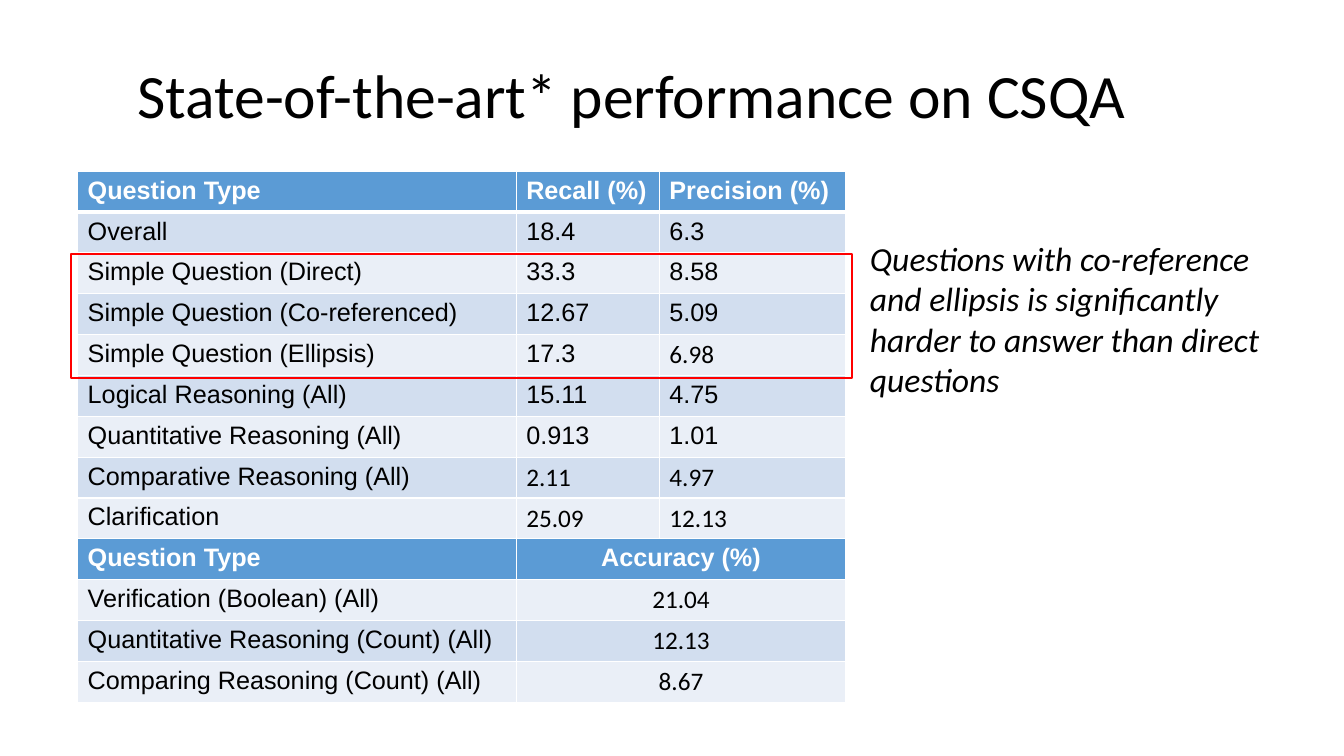
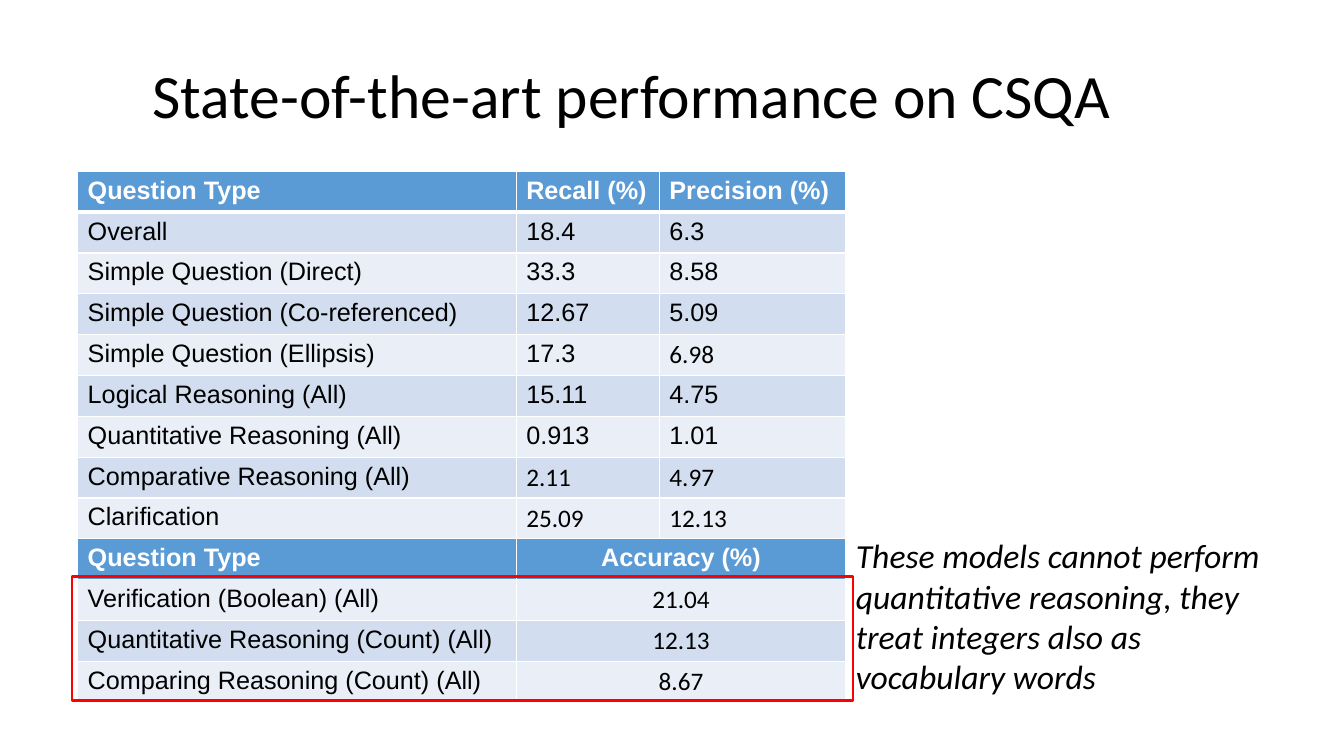
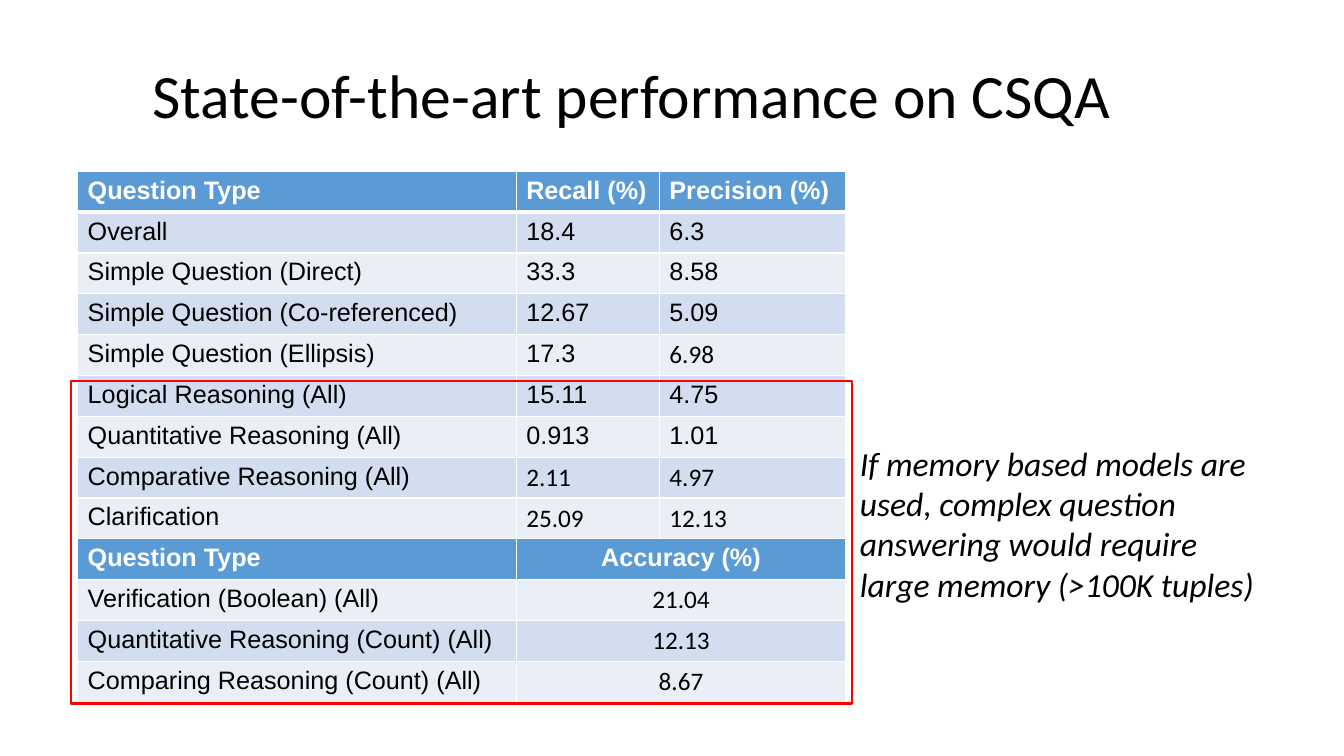
from pptx import Presentation
from pptx.dml.color import RGBColor
from pptx.enum.shapes import MSO_SHAPE
from pptx.enum.text import MSO_ANCHOR, MSO_AUTO_SIZE, PP_ALIGN
from pptx.oxml.ns import qn
from pptx.util import Inches, Pt
from lxml import etree

CENTER, LEFT = PP_ALIGN.CENTER, PP_ALIGN.LEFT
MIDDLE, TOP = MSO_ANCHOR.MIDDLE, MSO_ANCHOR.TOP
FIT_SHAPE = MSO_AUTO_SIZE.SHAPE_TO_FIT_TEXT
RECTANGLE = MSO_SHAPE.RECTANGLE

COLORS = {
    "text": "000000",
    "white": "FFFFFF",
    "header": "5B9BD5",
    "band_dark": "D2DEEF",
    "band_light": "EAEFF7",
    "highlight": "FF0000",
}

# Results table: rows with two values span the second and third columns
RESULTS = [
    ("Question Type", "Recall (%)", "Precision (%)"),
    ("Overall", "18.4", "6.3"),
    ("Simple Question (Direct)", "33.3", "8.58"),
    ("Simple Question (Co-referenced)", "12.67", "5.09"),
    ("Simple Question (Ellipsis)", "17.3", "6.98"),
    ("Logical Reasoning (All)", "15.11", "4.75"),
    ("Quantitative Reasoning (All)", "0.913", "1.01"),
    ("Comparative Reasoning (All)", "2.11", "4.97"),
    ("Clarification", "25.09", "12.13"),
    ("Question Type", "Accuracy (%)"),
    ("Verification (Boolean) (All)", "21.04"),
    ("Quantitative Reasoning (Count) (All)", "12.13"),
    ("Comparing Reasoning (Count) (All)", "8.67"),
]
COLUMN_WIDTHS = (4.35, 1.42, 1.85)
TABLE_LEFT, TABLE_TOP, TABLE_HEIGHT = 0.77, 1.7, 5.27
HEADER_ROWS = {0, 9}
CALIBRI_CELLS = {(4, 2), (7, 1), (7, 2), (8, 1), (8, 2), (10, 1), (11, 1), (12, 1)}

# Title, note, note box (left, top, width, height), highlight box
SLIDES = [
    ("State-of-the-art* performance on CSQA",
     "Questions with co-reference and ellipsis is significantly harder to answer "
     "than direct questions",
     (8.53, 2.31, 4.5, 1.72), (0.7, 2.52, 7.75, 1.23)),
    ("State-of-the-art performance on CSQA",
     "These models cannot perform quantitative reasoning, they treat integers "
     "also as vocabulary words",
     (8.39, 5.26, 4.41, 1.72), (0.71, 5.72, 7.75, 1.23)),
    ("State-of-the-art performance on CSQA",
     "If memory based models are used, complex question answering would require "
     "large memory (>100K tuples)",
     (8.43, 4.34, 4.27, 1.72), (0.7, 3.78, 7.75, 3.2)),
]


def color(name):
    return RGBColor.from_string(COLORS[name])


class Deck:
    """Holds the shared style and the slide being built."""

    def __init__(self):
        self.presentation = Presentation()
        self.presentation.slide_width = Inches(13.33)
        self.presentation.slide_height = Inches(7.5)
        self.slide = None

    def add_slide(self):
        self.slide = self.presentation.slides.add_slide(self.presentation.slide_layouts[6])

    def set_text(self, frame, text, size, font="Calibri", fill="text",
                 bold=False, italic=False, align=LEFT):
        paragraph = frame.paragraphs[0]
        paragraph.text = text
        paragraph.alignment = align
        paragraph.font.size = Pt(size)
        paragraph.font.name = font
        paragraph.font.color.rgb = color(fill)
        paragraph.font.bold = bold
        paragraph.font.italic = italic
        return paragraph

    def text_box(self, box, anchor=TOP):
        frame = self.slide.shapes.add_textbox(*map(Inches, box)).text_frame
        frame.word_wrap = True
        frame.vertical_anchor = anchor
        return frame

    def title(self, text):
        frame = self.text_box((0, 0.25, 12.54, 1.45), MIDDLE)
        self.set_text(frame, text, 44, align=CENTER).line_spacing = 0.9

    def note(self, text, box):
        frame = self.text_box(box)
        frame.auto_size = FIT_SHAPE
        self.set_text(frame, text, 24, italic=True)

    def highlight(self, box):
        shape = self.slide.shapes.add_shape(RECTANGLE, *map(Inches, box))
        shape.shadow.inherit = False
        shape.fill.background()
        shape.line.color.rgb = color("highlight")
        shape.line.width = Pt(1.5)

    def borders(self, cell, row):
        properties = cell._tc.get_or_add_tcPr()
        widths = {"lnL": 1, "lnR": 1,
                  "lnT": 3 if row == 1 else 1, "lnB": 3 if row == 0 else 1}
        for tag, width in widths.items():
            line = etree.SubElement(properties, qn("a:" + tag), w=str(Pt(width)))
            fill = etree.SubElement(line, qn("a:solidFill"))
            etree.SubElement(fill, qn("a:srgbClr"), val=COLORS["white"])

    def results_table(self):
        table = self.slide.shapes.add_table(
            len(RESULTS), len(COLUMN_WIDTHS), Inches(TABLE_LEFT), Inches(TABLE_TOP),
            Inches(sum(COLUMN_WIDTHS)), Inches(TABLE_HEIGHT)).table
        table.horz_banding = False
        for column, width in zip(table.columns, COLUMN_WIDTHS):
            column.width = Inches(width)

        for row, values in enumerate(RESULTS):
            table.rows[row].height = Inches(TABLE_HEIGHT / len(RESULTS))
            is_header = row in HEADER_ROWS
            is_merged = len(values) == 2
            band = "header" if is_header else "band_dark" if row % 2 else "band_light"
            for cell in table.rows[row].cells:
                self.borders(cell, row)
                cell.fill.solid()
                cell.fill.fore_color.rgb = color(band)
            if is_merged:
                table.cell(row, 1).merge(table.cell(row, 2))
            for column, value in enumerate(values):
                self.set_text(
                    table.cell(row, column).text_frame, value, 18,
                    font="Calibri" if (row, column) in CALIBRI_CELLS else "Arial",
                    fill="white" if is_header else "text", bold=is_header,
                    align=CENTER if is_merged and column == 1 else LEFT)


def main():
    deck = Deck()
    for title, note, note_box, highlight_box in SLIDES:
        deck.add_slide()
        deck.title(title)
        deck.results_table()
        deck.note(note, note_box)
        deck.highlight(highlight_box)
    deck.presentation.save("out.pptx")


if __name__ == "__main__":
    main()
